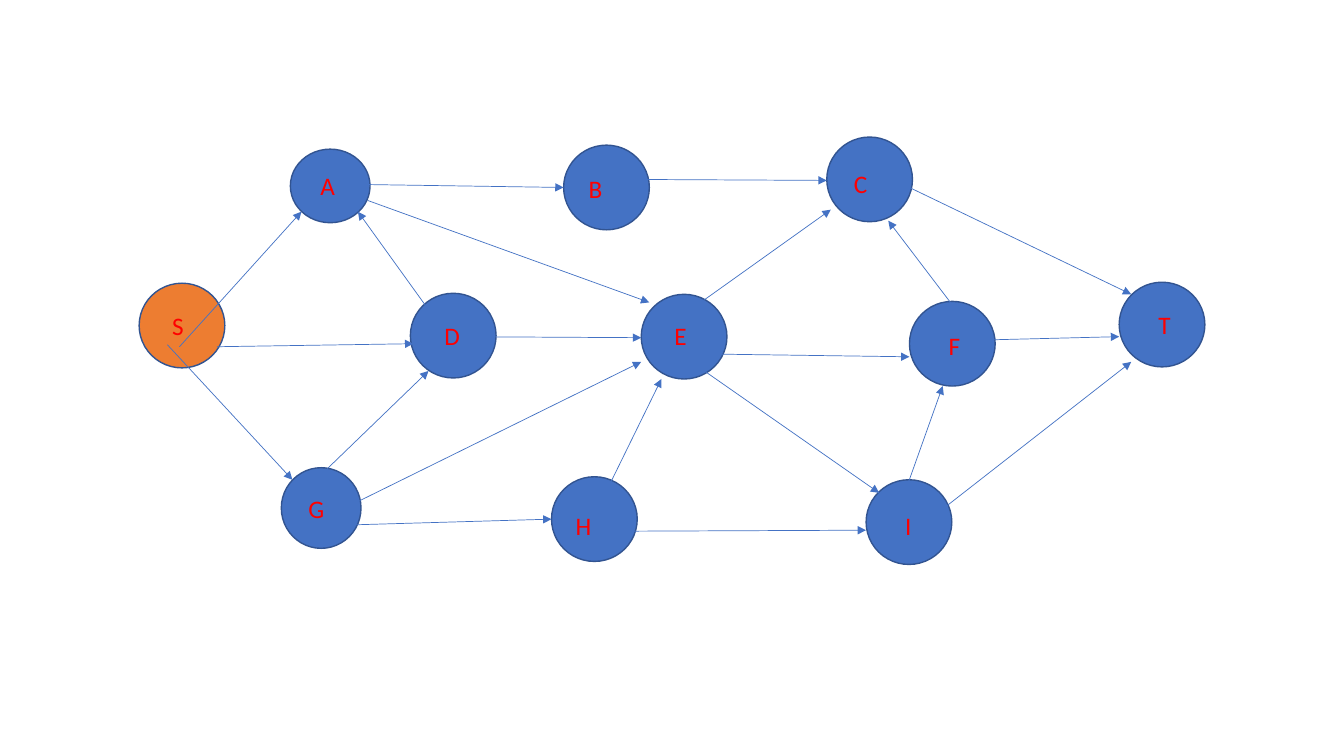
from lxml import etree
from pptx import Presentation
from pptx.dml.color import RGBColor
from pptx.enum.shapes import MSO_CONNECTOR, MSO_SHAPE
from pptx.enum.text import MSO_AUTO_SIZE
from pptx.oxml.ns import qn
from pptx.util import Inches, Pt

OVAL = MSO_SHAPE.OVAL
STRAIGHT = MSO_CONNECTOR.STRAIGHT
FIT_SHAPE = MSO_AUTO_SIZE.SHAPE_TO_FIT_TEXT

BLUE, ORANGE, OUTLINE, RED = "4472C4", "ED7D31", "325491", "FF0000"
WIDE, HIGH = 0.85, 0.84  # usual node size
LABEL_HIGH = 0.4

# Node: (left, top, width, height), label (left, top, width)
NODES = {
    "S": ((1.38, 2.81, WIDE, HIGH), (1.61, 3.03, 0.49)),
    "A": ((2.88, 1.48, 0.79, 0.73), (3.08, 1.64, 0.5)),
    "G": ((2.79, 4.64, 0.79, 0.8), (2.96, 4.84, 0.44)),
    "D": ((4.07, 2.91, WIDE, HIGH), (4.31, 3.13, 0.68)),
    "E": ((6.36, 2.92, WIDE, HIGH), (6.59, 3.13, 0.55)),
    "H": ((5.47, 4.73, WIDE, HIGH), (5.61, 5.01, 0.71)),
    "I": ((8.59, 4.76, WIDE, HIGH), (8.88, 5.01, 0.62)),
    "C": ((8.2, 1.36, WIDE, HIGH), (8.37, 1.62, 0.56)),
    "T": ((11.1, 2.8, WIDE, HIGH), (11.39, 3.02, 0.66)),
    "F": ((9.02, 2.99, WIDE, HIGH), (9.31, 3.23, 0.54)),
    "B": ((5.59, 1.44, WIDE, HIGH), (5.74, 1.67, 0.62)),
}

# Edge: start x, start y, end x, end y
EDGES = {
    "GH": (3.4, 5.21, 5.47, 5.15),
    "AB": (3.58, 1.83, 5.59, 1.86),
    "AE": (3.65, 1.99, 6.44, 3),
    "DE": (4.47, 3.34, 6.36, 3.35),
    "GE": (3.4, 5.05, 6.36, 3.59),
    "DA": (4.22, 3.03, 3.55, 2.1),
    "SA": (1.78, 3.44, 2.99, 2.1),
    "SD": (2.15, 3.44, 4.1, 3.41),
    "CT": (9.02, 1.86, 11.22, 2.92),
    "GD": (3.05, 4.84, 4.25, 3.68),
    "BC": (6.24, 1.78, 8.2, 1.79),
    "SG": (1.66, 3.42, 2.9, 4.76),
    "EI": (7, 3.69, 8.72, 4.89),
    "HE": (6.06, 4.78, 6.56, 3.76),
    "HI": (6.24, 5.27, 8.59, 5.26),
    "EF": (6.88, 3.51, 9.02, 3.54),
    "IT": (9.35, 5.05, 11.22, 3.59),
    "FT": (9.08, 3.39, 11.1, 3.34),
    "EC": (6.74, 3.15, 8.24, 2.08),
    "IF": (8.93, 5.01, 9.35, 3.83),
    "FC": (9.7, 3.36, 8.81, 2.19),
}


def color(code):
    return RGBColor.from_string(code)


def inches(values):
    return [Inches(value) for value in values]


def add_node(page, name, bounds):
    circle = page.shapes.add_shape(OVAL, *inches(bounds))
    circle.shadow.inherit = False
    circle.fill.solid()
    circle.fill.fore_color.rgb = color(ORANGE if name == "S" else BLUE)
    circle.line.color.rgb = color(OUTLINE)
    circle.line.width = Pt(1)


def add_edge(page, ends):
    arrow = page.shapes.add_connector(STRAIGHT, *inches(ends))
    arrow.line.color.rgb = color(BLUE)
    arrow.line.width = Pt(0.5)
    head = etree.SubElement(arrow.line._get_or_add_ln(), qn("a:tailEnd"))
    head.set("type", "triangle")
    etree.SubElement(arrow._element.spPr, qn("a:effectLst"))


def add_label(page, name, spot):
    box = page.shapes.add_textbox(*inches((*spot, LABEL_HIGH)))
    box.text_frame.word_wrap = True
    box.text_frame.auto_size = FIT_SHAPE
    para = box.text_frame.paragraphs[0]
    para.text = name
    para.font.name = "Calibri"
    para.font.size = Pt(18)
    para.font.color.rgb = color(RED)


def main():
    deck = Presentation()
    deck.slide_width, deck.slide_height = Inches(13.33), Inches(7.5)
    page = deck.slides.add_slide(deck.slide_layouts[6])

    # Circles at the back, then arrows, then letters
    for name, (bounds, _) in NODES.items():
        add_node(page, name, bounds)
    for ends in EDGES.values():
        add_edge(page, ends)
    for name, (_, spot) in NODES.items():
        add_label(page, name, spot)

    deck.save("out.pptx")


if __name__ == "__main__":
    main()
